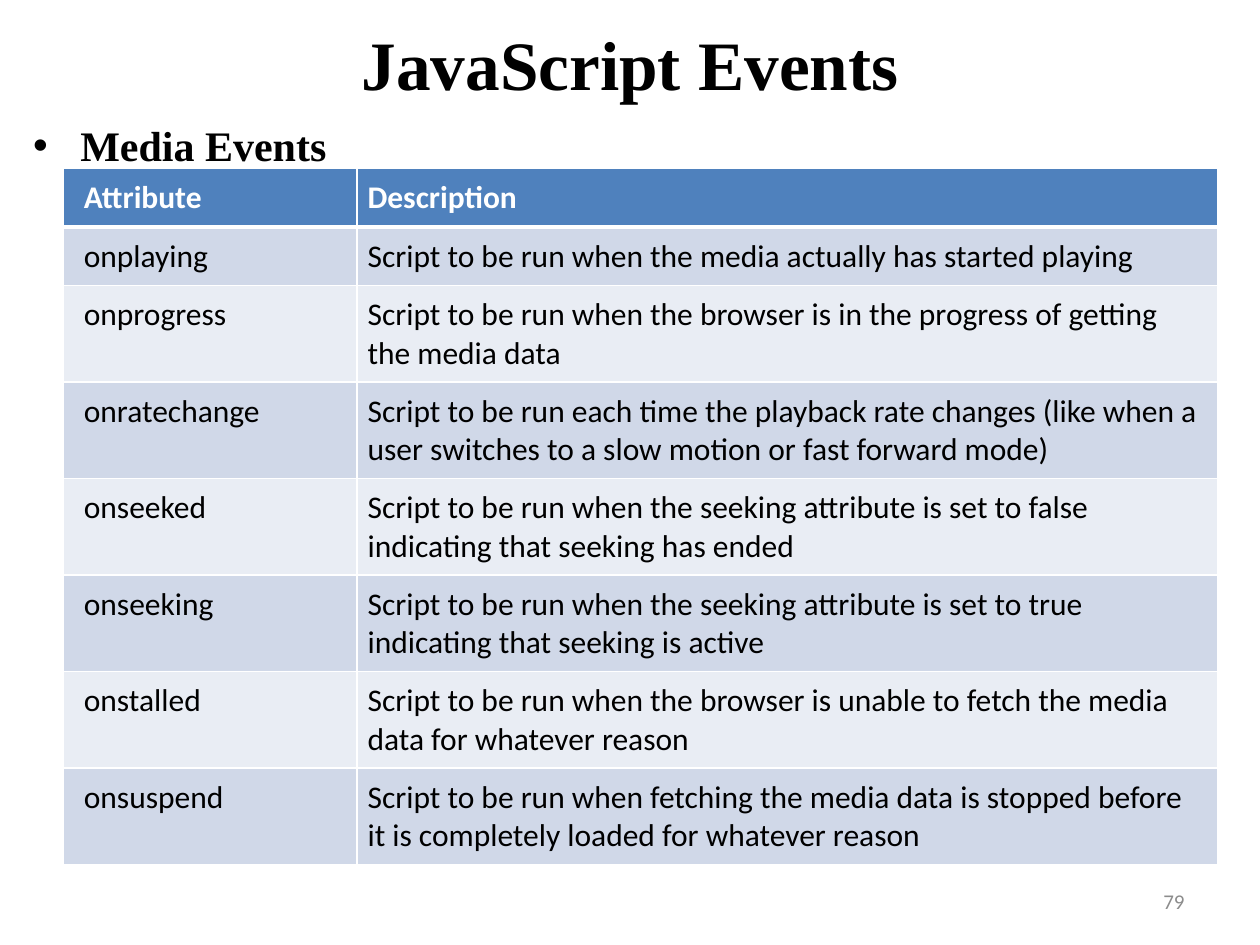
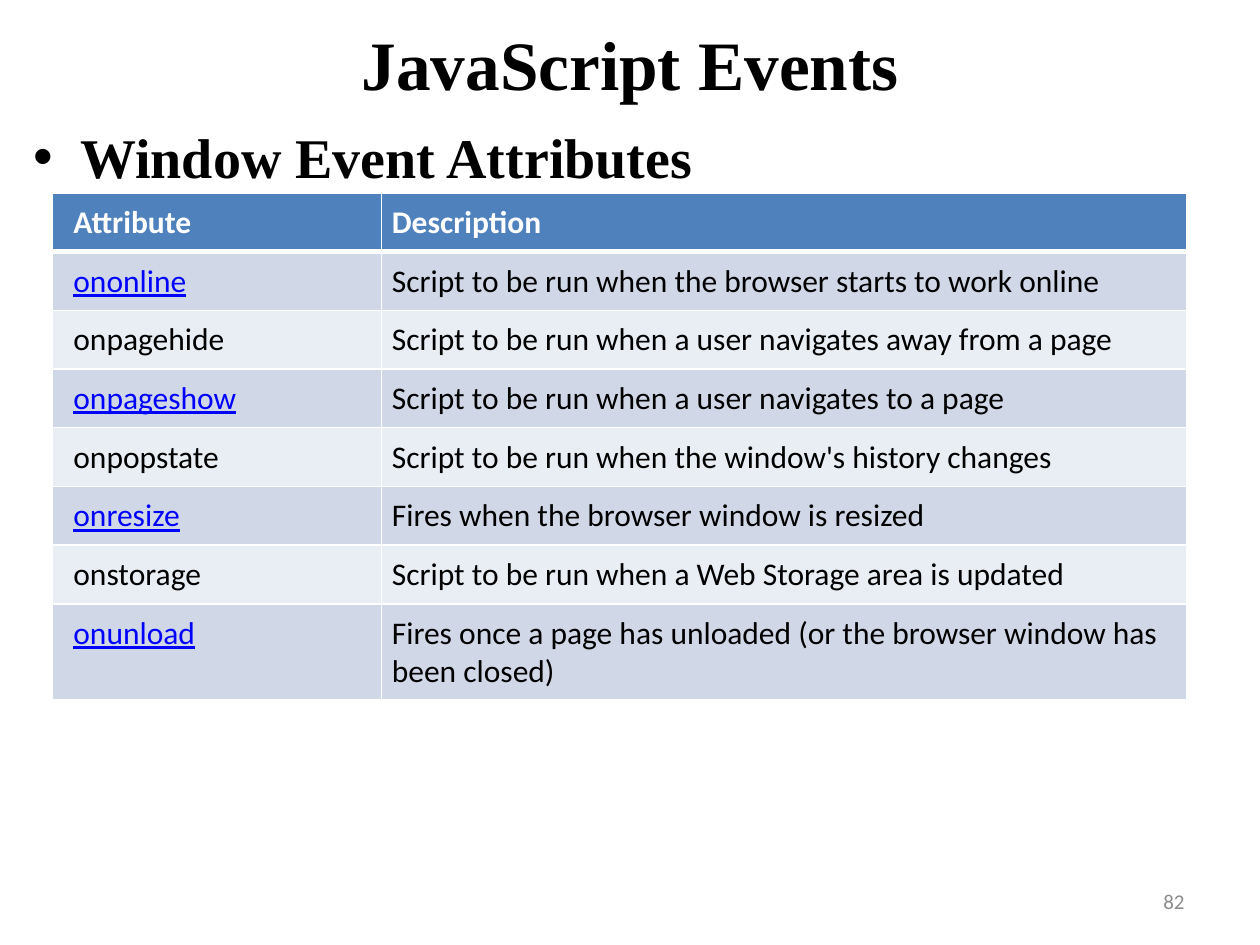
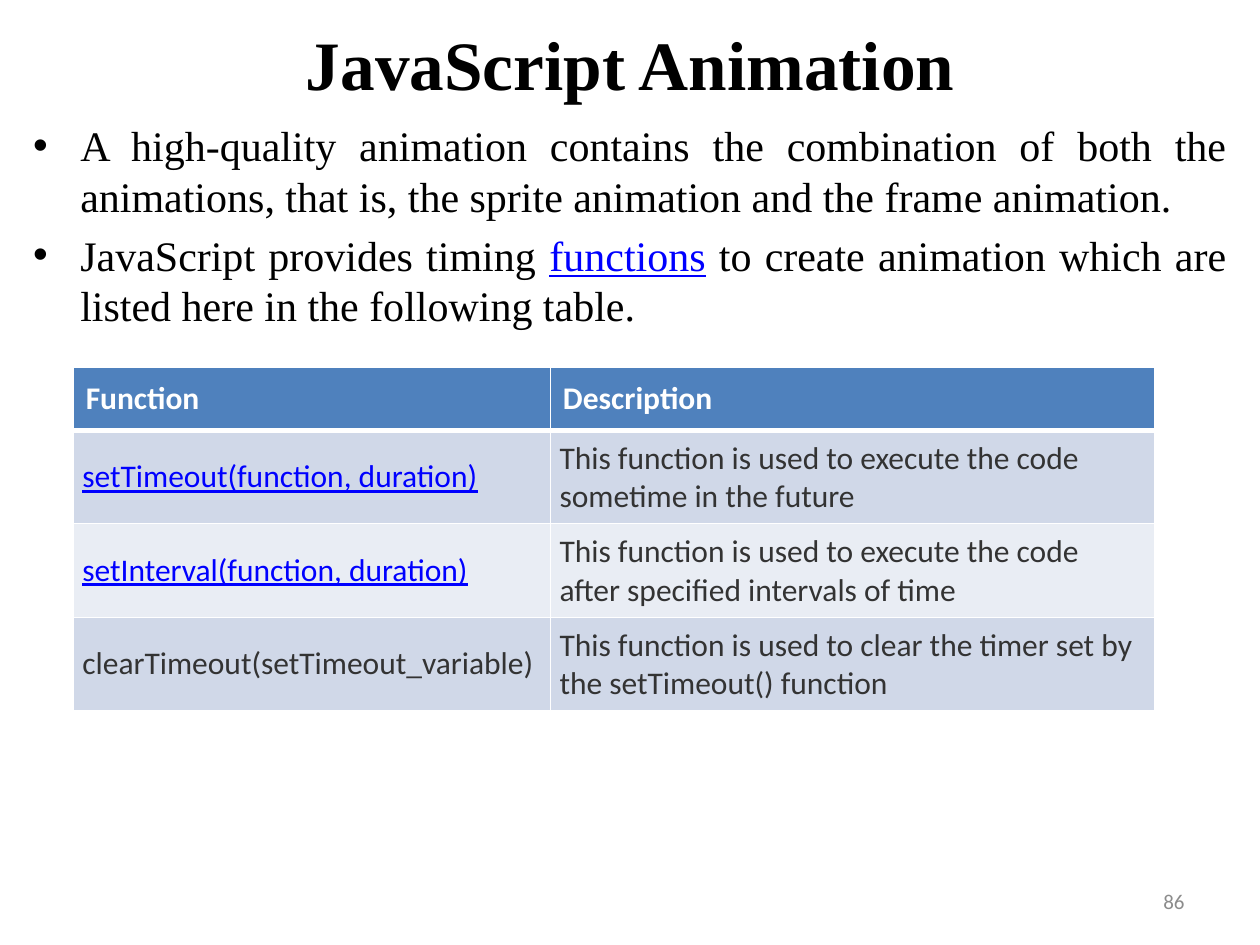
from dataclasses import dataclass

from lxml.etree import SubElement
from pptx import Presentation
from pptx.dml.color import RGBColor as RGB
from pptx.enum.text import MSO_ANCHOR as Anchor, PP_ALIGN as Align
from pptx.oxml import parse_xml
from pptx.oxml.ns import nsdecls, qn
from pptx.util import Cm, Pt


@dataclass(frozen=True)
class Theme:
    serif: str = "Times New Roman"
    sans: str = "Calibri"
    ink: str = "000000"
    soft_ink: str = "333333"
    link: str = "0000FF"
    white: str = "FFFFFF"
    number: str = "8C8C8C"
    header: str = "4F81BD"
    bands: tuple = ("D0D8E8", "E9EDF4")
    title_size: float = 39.6
    topic_size: float = 32
    body_size: float = 24
    table_size: float = 18
    number_size: float = 12


THEME = Theme()
TITLE_BOX = (0.64, 0.42, 24.13, 1.7)
BODY_BOX = (0.42, 2.12, 24.56, 16.3)
NUMBER_BOX = (18.21, 17.65, 5.92, 1.02)
ROW_HEIGHT = 1.04
HANGING_INDENT = 0.95

# Cell margins in cm: left, top, right, bottom
EVENT_LAYOUT = {
    "anchor": Anchor.TOP,
    "ink": THEME.ink,
    "header_margins": [(0.42, 0.21, 0.21, 0.21), (0.21,) * 4],
    "margins": [(0.42, 0.21, 0.21, 0.21), (0.21,) * 4],
}
FUNCTION_LAYOUT = {
    "anchor": Anchor.MIDDLE,
    "ink": THEME.soft_ink,
    "header_margins": [(0.25,) * 4] * 2,
    "margins": [(0.18,) * 4] * 2,
}

LINKED = {
    "ononline", "onpageshow", "onresize", "onunload", "functions",
    "setTimeout(function, duration)", "setInterval(function, duration)",
}

SLIDES = [
    {
        "title": "JavaScript Events",
        "number": "79",
        "points": [["Media Events"]],
        "point_format": {"size": THEME.body_size, "bold": True},
        "align": Align.LEFT,
        "table_box": (1.27, 3.39, 23.28, 14.05),
        "columns": (5.93, 17.35),
        "layout": EVENT_LAYOUT,
        "rows": [
            ("Attribute", "Description"),
            ("onplaying", "Script to be run when the media actually has started playing"),
            ("onprogress", "Script to be run when the browser is in the progress of getting the media data"),
            ("onratechange", "Script to be run each time the playback rate changes "
                             "(like when a user switches to a slow motion or fast forward mode)"),
            ("onseeked", "Script to be run when the seeking attribute is set to false "
                         "indicating that seeking has ended"),
            ("onseeking", "Script to be run when the seeking attribute is set to true "
                          "indicating that seeking is active"),
            ("onstalled", "Script to be run when the browser is unable to fetch the media data "
                          "for whatever reason"),
            ("onsuspend", "Script to be run when fetching the media data is stopped before it is "
                          "completely loaded for whatever reason"),
        ],
    },
    {
        "title": "JavaScript Events",
        "number": "82",
        "points": [["Window Event Attributes"]],
        "point_format": {"size": THEME.topic_size, "bold": True},
        "align": Align.JUSTIFY,
        "table_box": (1.06, 3.89, 22.86, 10.24),
        "columns": (6.63, 16.23),
        "layout": EVENT_LAYOUT,
        "rows": [
            ("Attribute", "Description"),
            ("ononline", "Script to be run when the browser starts to work online"),
            ("onpagehide", "Script to be run when a user navigates away from a page"),
            ("onpageshow", "Script to be run when a user navigates to a page"),
            ("onpopstate", "Script to be run when the window's history changes"),
            ("onresize", "Fires when the browser window is resized"),
            ("onstorage", "Script to be run when a Web Storage area is updated"),
            ("onunload", "Fires once a page has unloaded (or the browser window has been closed)"),
        ],
    },
    {
        "title": "JavaScript Animation",
        "number": "86",
        "points": [
            ["A high-quality animation contains the combination of both the animations, "
             "that is, the sprite animation and the frame animation."],
            ["JavaScript provides timing ", "functions",
             " to create animation which are listed here in the following table."],
        ],
        "point_format": {"size": THEME.body_size, "bold": False},
        "align": Align.JUSTIFY,
        "table_box": (1.48, 7.41, 21.8, 6.99),
        "columns": (9.62, 12.18),
        "layout": FUNCTION_LAYOUT,
        "rows": [
            ("Function", "Description"),
            ("setTimeout(function, duration)",
             "This function is used to execute the code sometime in the future"),
            ("setInterval(function, duration)",
             "This function is used to execute the code after specified intervals of time"),
            ("clearTimeout(setTimeout_variable)",
             "This function is used to clear the timer set by the setTimeout() function"),
        ],
    },
]


def write(paragraph, pieces, color, name, size, bold=False):
    """Add one run per piece; linked terms are underlined in the link colour."""
    for piece in pieces:
        run = paragraph.add_run()
        run.text = piece
        linked = piece in LINKED
        font_format = {"name": name, "size": Pt(size), "bold": bold, "underline": linked}
        for attribute, value in font_format.items():
            setattr(run.font, attribute, value)
        run.font.color.rgb = RGB.from_string(THEME.link if linked else color)


def add_frame(slide, box, anchor):
    frame = slide.shapes.add_textbox(*map(Cm, box)).text_frame
    frame.word_wrap = True
    frame.vertical_anchor = anchor
    return frame


deck = Presentation()
deck.slide_width, deck.slide_height = Cm(25.4), Cm(19.05)

for content in SLIDES:
    slide = deck.slides.add_slide(deck.slide_layouts[6])

    heading = add_frame(slide, TITLE_BOX, Anchor.MIDDLE).paragraphs[0]
    heading.alignment = Align.CENTER
    write(heading, [content["title"]], THEME.ink, THEME.serif, THEME.title_size, True)

    body = add_frame(slide, BODY_BOX, Anchor.TOP)
    point_size = content["point_format"]["size"]
    body.margin_top = Cm(0.13 + 0.007 * point_size)
    for index, pieces in enumerate(content["points"]):
        point = body.add_paragraph() if index else body.paragraphs[0]
        properties = point._p.get_or_add_pPr()
        properties.set("marL", str(Cm(HANGING_INDENT)))
        properties.set("indent", str(-Cm(HANGING_INDENT)))
        SubElement(properties, qn("a:buFont"), typeface="Arial")
        SubElement(properties, qn("a:buChar"), char="•")
        point.alignment = content["align"]
        if index:
            point.space_before = Pt(0.2 * point_size)
        write(point, pieces, THEME.ink, THEME.serif, **content["point_format"])

    page_number = add_frame(slide, NUMBER_BOX, Anchor.MIDDLE).paragraphs[0]
    page_number.alignment = Align.RIGHT
    write(page_number, [content["number"]], THEME.number, THEME.sans, THEME.number_size)

    rows, layout = content["rows"], content["layout"]
    table_frame = slide.shapes.add_table(len(rows), 2, *map(Cm, content["table_box"]))
    table = table_frame.table
    for column, width in zip(table.columns, content["columns"]):
        column.width = Cm(width)
    for row_index, texts in enumerate(rows):
        table.rows[row_index].height = Cm(ROW_HEIGHT)
        is_header = row_index == 0
        fill = THEME.header if is_header else THEME.bands[(row_index - 1) % 2]
        ink = THEME.white if is_header else layout["ink"]
        margins = layout["header_margins" if is_header else "margins"]
        rules = {
            "lnL": 1,
            "lnR": 1,
            "lnT": 3 if row_index == 1 else 1,
            "lnB": 3 if is_header else 1,
        }
        for column_index, text in enumerate(texts):
            cell = table.cell(row_index, column_index)
            cell.fill.solid()
            cell.fill.fore_color.rgb = RGB.from_string(fill)
            cell.vertical_anchor = layout["anchor"]
            for side, margin in zip(("left", "top", "right", "bottom"), margins[column_index]):
                setattr(cell, f"margin_{side}", Cm(margin))
            write(cell.text_frame.paragraphs[0], [text], ink, THEME.sans, THEME.table_size, is_header)
            cell_properties = cell._tc.get_or_add_tcPr()
            for position, (edge, width) in enumerate(rules.items()):
                cell_properties.insert(position, parse_xml(
                    f'<a:{edge} {nsdecls("a")} w="{Pt(width)}"><a:solidFill>'
                    f'<a:srgbClr val="{THEME.white}"/></a:solidFill></a:{edge}>'))
    table_frame.height = Cm(content["table_box"][3])

deck.save("out.pptx")
